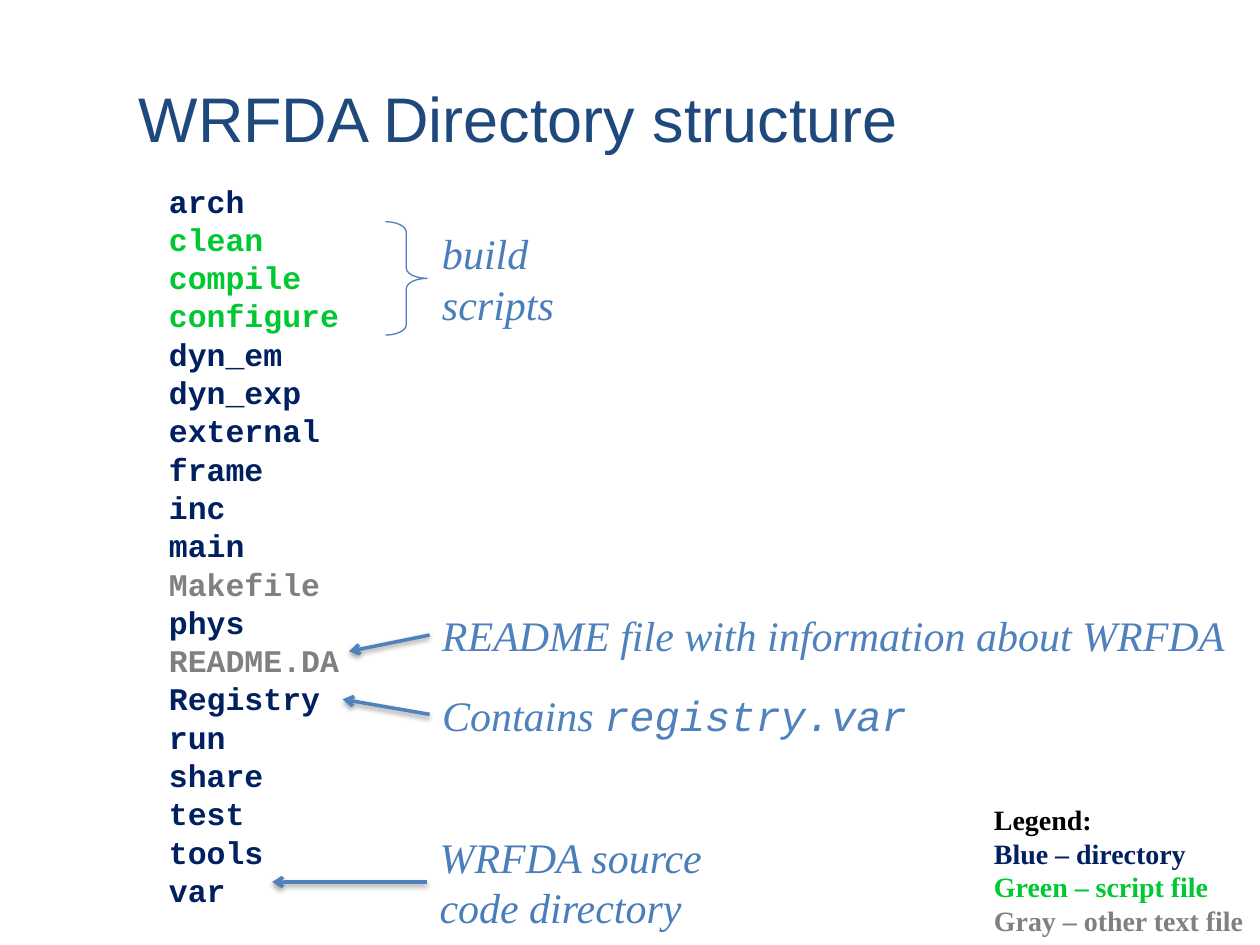
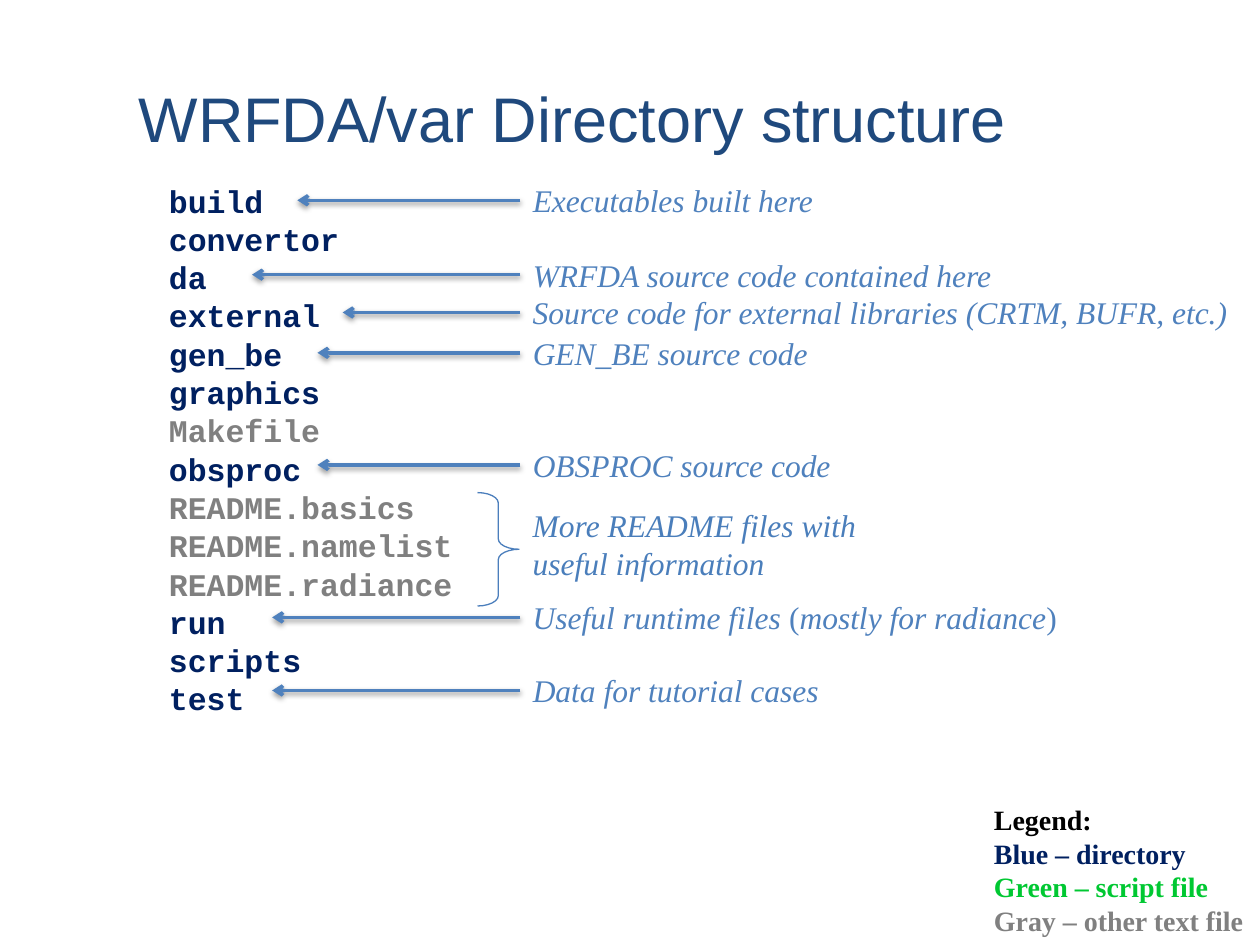
"""Build two slides that explain the WRFDA directory structure."""
from dataclasses import dataclass

from lxml import etree
from pptx import Presentation
from pptx.dml.color import RGBColor
from pptx.enum.shapes import MSO_CONNECTOR, MSO_SHAPE
from pptx.enum.text import MSO_ANCHOR, MSO_AUTO_SIZE, PP_ALIGN
from pptx.oxml import parse_xml
from pptx.oxml.ns import nsdecls, qn
from pptx.slide import Slide
from pptx.text.text import TextFrame
from pptx.util import Emu, Pt

STRAIGHT = MSO_CONNECTOR.STRAIGHT
RIGHT_BRACE = MSO_SHAPE.RIGHT_BRACE
MIDDLE, TOP = MSO_ANCHOR.MIDDLE, MSO_ANCHOR.TOP
LEFT = PP_ALIGN.LEFT
FIT_SHAPE, NO_FIT = MSO_AUTO_SIZE.SHAPE_TO_FIT_TEXT, MSO_AUTO_SIZE.NONE

EMU_PER_PX = 9144
TITLE_ONLY = 5
SANS, SERIF, MONO = "Arial", "Times New Roman", "Courier New"

BLACK = RGBColor(0x00, 0x00, 0x00)
WHITE = RGBColor(0xFF, 0xFF, 0xFF)
TITLE_BLUE = RGBColor(0x1F, 0x49, 0x7D)
NAVY = RGBColor(0x00, 0x20, 0x60)
GREEN = RGBColor(0x00, 0xC8, 0x32)
GRAY = RGBColor(0x80, 0x80, 0x80)
NOTE_BLUE = RGBColor(0x4F, 0x81, 0xBD)
BRACE_NOTE_BLUE = RGBColor(0x4A, 0x7E, 0xBB)
BRACE_BLUE = RGBColor(0x4B, 0x7E, 0xBC)

SHADOW = (
    f'<a:effectLst {nsdecls("a")}>'
    '<a:outerShdw blurRad="39370" dist="20320" dir="5400000" rotWithShape="0">'
    '<a:srgbClr val="000000"><a:alpha val="38000"/></a:srgbClr>'
    "</a:outerShdw></a:effectLst>"
)


@dataclass(frozen=True)
class Run:
    """A piece of text with its deviations from the format of its box."""
    text: str
    color: RGBColor | None = None
    font: str | None = None
    italic: bool | None = None


@dataclass(frozen=True)
class Box:
    """A rectangle in px."""
    x: int
    y: int
    w: int
    h: int


@dataclass(frozen=True)
class Note:
    """A remark on a directory, with an arrow to its tip or a brace at its corner."""
    box: Box
    paras: list[list[Run]]
    tip: tuple[int, int] | None = None
    brace: tuple[int, int] | None = None
    color: RGBColor = NOTE_BLUE


@dataclass(frozen=True)
class Page:
    """The content of one slide."""
    title: str
    entries: list[tuple[RGBColor, str]]
    notes: list[Note]
    note_size: int


TITLE_BOX = Box(100, 31, 821, 125)
LIST_BOX = Box(74, 145, 358, 605)
LEGEND_BOX = Box(779, 632, 221, 118)
LEGEND = [
    [Run("Legend:", BLACK)],
    [Run("Blue – directory", NAVY)],
    [Run("Green – script file", GREEN)],
    [Run("Gray – other text file", GRAY)],
]


def px(n: int) -> Emu:
    """Turn px into EMU."""
    return Emu(n * EMU_PER_PX)


def bounds(box: Box) -> tuple[Emu, Emu, Emu, Emu]:
    """Give the position and size of a box in EMU."""
    return px(box.x), px(box.y), px(box.w), px(box.h)


def write(tf: TextFrame, paras: list[list[Run]], *, size: int, font: str,
          color: RGBColor, bold: bool = False, italic: bool = False,
          spacing: float = 1.0, before: float = 0) -> None:
    """Fill a text frame with formatted paragraphs."""
    for i, runs in enumerate(paras):
        p = tf.add_paragraph() if i else tf.paragraphs[0]
        p.alignment, p.line_spacing, p.space_before = LEFT, spacing, Pt(before)
        for run in runs:
            for j, line in enumerate(run.text.split("\n")):
                if j:
                    p.add_line_break()
                r = p.add_run()
                r.text = line
                r.font.name = run.font or font
                r.font.size = Pt(size)
                r.font.bold = bold
                r.font.italic = italic if run.italic is None else run.italic
                r.font.color.rgb = run.color or color


def add_text_frame(s: Slide, box: Box, *, wrap: bool = False) -> TextFrame:
    """Add a text box that either wraps or grows with its text."""
    tf = s.shapes.add_textbox(*bounds(box)).text_frame
    tf.word_wrap = wrap
    tf.auto_size = NO_FIT if wrap else FIT_SHAPE
    tf.vertical_anchor = TOP
    return tf


def add_title(s: Slide, title: str) -> None:
    """Place and format the title."""
    sp = s.shapes.title
    sp.left, sp.top, sp.width, sp.height = bounds(TITLE_BOX)
    sp.text_frame.vertical_anchor = MIDDLE
    write(sp.text_frame, [[Run(title)]], size=36, font=SANS, color=TITLE_BLUE)


def add_listing(s: Slide, entries: list[tuple[RGBColor, str]]) -> None:
    """List the entries of a directory, coloured by their type."""
    tf = add_text_frame(s, LIST_BOX, wrap=True)
    tf.margin_left = px(60)
    paras = [[Run(name, color)] for color, names in entries for name in names.split()]
    write(tf, paras, size=18, font=MONO, color=NAVY, bold=True, spacing=0.8, before=4.6)


def add_arrow(s: Slide, start: tuple[int, int], tip: tuple[int, int]) -> None:
    """Draw a shadowed arrow."""
    sp = s.shapes.add_connector(STRAIGHT, *map(px, start + tip))
    sp.line.color.rgb = NOTE_BLUE
    sp.line.width = Pt(2)
    etree.SubElement(sp.line._get_or_add_ln(), qn("a:tailEnd"), type="arrow")
    sp._element.spPr.append(parse_xml(SHADOW))


def add_brace(s: Slide, corner: tuple[int, int]) -> None:
    """Draw a right brace with its top left at the corner."""
    sp = s.shapes.add_shape(RIGHT_BRACE, *bounds(Box(*corner, 33, 90)))
    sp.adjustments[0], sp.adjustments[1] = 0.25, 0.5
    sp.shadow.inherit = False
    sp.fill.background()
    sp.line.color.rgb = BRACE_BLUE
    sp.line.width = Pt(0.75)


def add_note(s: Slide, note: Note, size: int) -> None:
    """Add a remark with its arrow or brace."""
    box = note.box
    tf = add_text_frame(s, box)
    write(tf, note.paras, size=size, font=SERIF, color=note.color, italic=True)
    if note.tip:
        add_arrow(s, (box.x, box.y + box.h // 2), note.tip)
    if note.brace:
        add_brace(s, note.brace)


def row_note(y: int, w: int, tip_x: int, *runs: Run) -> Note:
    """Make a one-line remark with a level arrow."""
    return Note(Box(413, y, w, 40), [list(runs)], tip=(tip_x, y + 20))


PAGES = [
    Page(
        "WRFDA Directory structure",
        [
            (NAVY, "arch"),
            (GREEN, "clean compile configure"),
            (NAVY, "dyn_em dyn_exp external frame inc main"),
            (GRAY, "Makefile"),
            (NAVY, "phys"),
            (GRAY, "README.DA"),
            (NAVY, "Registry run share test tools var"),
        ],
        [
            Note(Box(341, 176, 110, 91), [[Run("build \nscripts")]],
                 brace=(306, 176), color=BRACE_NOTE_BLUE),
            Note(Box(341, 479, 647, 50),
                 [[Run("README file with information about WRFDA")]], tip=(277, 517)),
            Note(Box(341, 542, 392, 50),
                 [[Run("Contains "), Run("registry.var", font=MONO)]], tip=(272, 555)),
            Note(Box(339, 655, 230, 91),
                 [[Run("WRFDA source")], [Run("code directory")]],
                 tip=(216, 700), color=BRACE_NOTE_BLUE),
        ],
        24,
    ),
    Page(
        "WRFDA/var Directory structure",
        [
            (NAVY, "build convertor da external gen_be graphics"),
            (GRAY, "Makefile"),
            (NAVY, "obsproc"),
            (GRAY, "README.basics README.namelist README.radiance"),
            (NAVY, "run scripts test"),
        ],
        [
            row_note(139, 245, 236, Run("Executables built here")),
            row_note(198, 388, 200, Run("WRFDA source code contained here")),
            row_note(228, 577, 272,
                     Run("Source code for external libraries (CRTM, BUFR, etc.)")),
            row_note(260, 241, 252, Run("GEN_BE source code")),
            row_note(349, 259, 252, Run("OBSPROC source code")),
            Note(Box(413, 397, 286, 71),
                 [[Run("More README files with \nuseful information")]],
                 brace=(379, 391), color=BRACE_NOTE_BLUE),
            row_note(470, 440, 216, Run("Useful runtime files "), Run("(", italic=False),
                     Run("mostly for radiance"), Run(")", italic=False)),
            row_note(528, 249, 216, Run("Data for tutorial cases")),
        ],
        18,
    ),
]


def main() -> None:
    """Build and save the slides."""
    prs = Presentation()
    prs.slide_width, prs.slide_height = px(1000), px(750)
    for page in PAGES:
        s = prs.slides.add_slide(prs.slide_layouts[TITLE_ONLY])
        s.background.fill.solid()
        s.background.fill.fore_color.rgb = WHITE
        add_title(s, page.title)
        add_listing(s, page.entries)
        for note in page.notes:
            add_note(s, note, page.note_size)
        write(add_text_frame(s, LEGEND_BOX), LEGEND,
              size=16, font=SERIF, color=BLACK, bold=True)
    prs.save("out.pptx")


if __name__ == "__main__":
    main()
